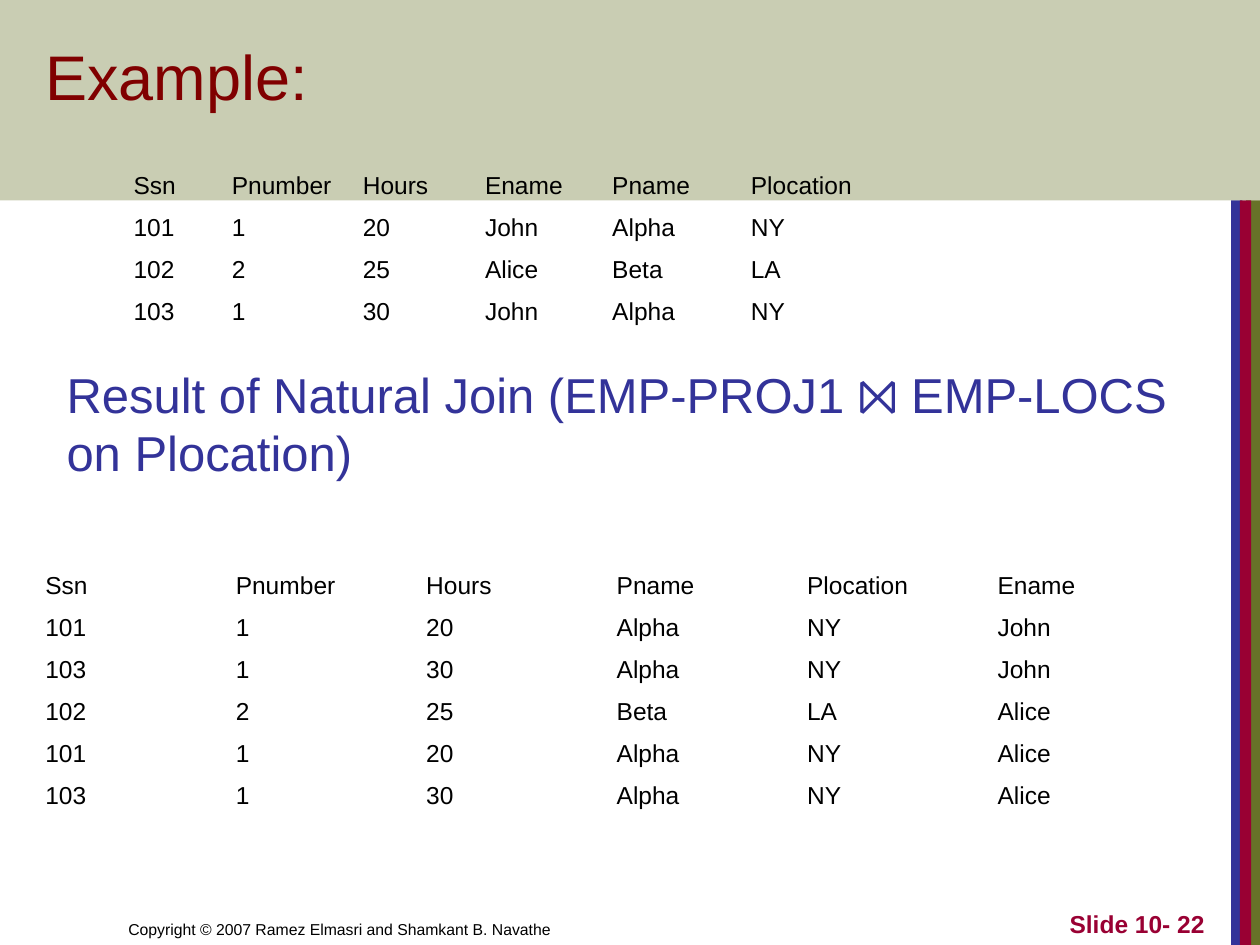
from lxml import etree
from pptx import Presentation
from pptx.dml.color import RGBColor
from pptx.enum.shapes import MSO_SHAPE
from pptx.enum.text import MSO_ANCHOR, PP_ALIGN
from pptx.oxml.ns import qn
from pptx.util import Inches, Pt

RECTANGLE = MSO_SHAPE.RECTANGLE
TOP, MIDDLE, BOTTOM = MSO_ANCHOR.TOP, MSO_ANCHOR.MIDDLE, MSO_ANCHOR.BOTTOM
LEFT, RIGHT = PP_ALIGN.LEFT, PP_ALIGN.RIGHT
FONT = "Arial"
NO_STYLE = "{2D5ABB26-0587-4C30-8999-92F81FD0307C}"
ROW_HEIGHT = 1 / 3
BAND_HEIGHT = 1.59

STRIPES = [(9.89, 0.11, "677228"), (9.77, 0.09, "333399"), (9.84, 0.09, "990033")]

TEXTS = [
    ("Copyright © 2007 Ramez Elmasri and Shamkant B. Navathe",
     (0.92, 7, 4.92, 0.5), 9, "000000", False, BOTTOM, LEFT),
    ("Example:", (0.26, 0.4, 8.49, 0.55), 36, "800000", False, BOTTOM, LEFT),
    ("Result of Natural Join (EMP-PROJ1 ⨝ EMP-LOCS on Plocation)",
     (0.43, 2.84, 9, 1), 28, "333399", False, TOP, LEFT),
    ("Slide 10- 22", (7.58, 7, 2.08, 0.5), 14, "990033", True, BOTTOM, RIGHT),
]

EMPLOYEES = [
    ("Ssn", "Pnumber", "Hours", "Ename", "Pname", "Plocation"),
    ("101", "1", "20", "John", "Alpha", "NY"),
    ("102", "2", "25", "Alice", "Beta", "LA"),
    ("103", "1", "30", "John", "Alpha", "NY"),
]
JOINED = [
    ("Ssn", "Pnumber", "Hours", "Pname", "Plocation", "Ename"),
    ("101", "1", "20", "Alpha", "NY", "John"),
    ("103", "1", "30", "Alpha", "NY", "John"),
    ("102", "2", "25", "Beta", "LA", "Alice"),
    ("101", "1", "20", "Alpha", "NY", "Alice"),
    ("103", "1", "30", "Alpha", "NY", "Alice"),
]
TABLES = [
    (EMPLOYEES, 0.96, 1.31, [0.78, 1.04, 0.97, 1.01, 1.1, 1.01]),
    (JOINED, 0.26, 4.48, [9.07 / 6] * 6),
]


def color(value):
    """Turn a hex string into a colour."""
    return RGBColor.from_string(value)


def add_block(page, left, top, width, height, fill):
    """Add a plain filled rectangle."""
    block = page.shapes.add_shape(
        RECTANGLE, Inches(left), Inches(top), Inches(width), Inches(height))
    block.shadow.inherit = False
    block.fill.solid()
    block.fill.fore_color.rgb = color(fill)
    block.line.fill.background()
    return block


def add_span(paragraph, text, size, fill, bold=False):
    """Add one formatted run to a paragraph."""
    span = paragraph.add_run()
    span.text = text
    span.font.name = FONT
    span.font.size = Pt(size)
    span.font.bold = bold
    span.font.color.rgb = color(fill)


def add_text(page, text, place, size, fill, bold, anchor, align):
    """Add a wrapped text box."""
    box = page.shapes.add_textbox(*map(Inches, place))
    frame = box.text_frame
    frame.word_wrap = True
    frame.vertical_anchor = anchor
    frame.margin_right = 0 if anchor == TOP else Inches(0.1)
    frame.paragraphs[0].alignment = align
    add_span(frame.paragraphs[0], text, size, fill, bold)


def add_relation(page, rows, left, top, widths):
    """Add an unstyled table of tuples."""
    table = page.shapes.add_table(
        len(rows), len(widths), Inches(left), Inches(top),
        Inches(sum(widths)), Inches(ROW_HEIGHT * len(rows))).table
    table.first_row = table.horz_banding = False
    table._tbl.tblPr.find(qn("a:tableStyleId")).text = NO_STYLE
    for column, width in zip(table.columns, widths):
        column.width = Inches(width)
    for row, values in zip(table.rows, rows):
        row.height = Inches(ROW_HEIGHT)
        for cell, value in zip(row.cells, values):
            cell.fill.background()
            cell.vertical_anchor = MIDDLE
            add_span(cell.text_frame.paragraphs[0], value, 14, "000000")


def main():
    """Build the natural join example slide."""
    deck = Presentation()
    deck.slide_width, deck.slide_height = Inches(10), Inches(7.5)
    page = deck.slides.add_slide(deck.slide_layouts[6])
    for left, width, fill in STRIPES:
        add_block(page, left, BAND_HEIGHT, width, 7.5 - BAND_HEIGHT, fill)
    band = add_block(page, 0, 0, 10, BAND_HEIGHT, "677228")
    tint = band._element.spPr.find(qn("a:solidFill")).find(qn("a:srgbClr"))
    etree.SubElement(tint, qn("a:alpha")).set("val", "35000")
    for text in TEXTS:
        add_text(page, *text)
    for relation in TABLES:
        add_relation(page, *relation)
    deck.save("out.pptx")


if __name__ == "__main__":
    main()
